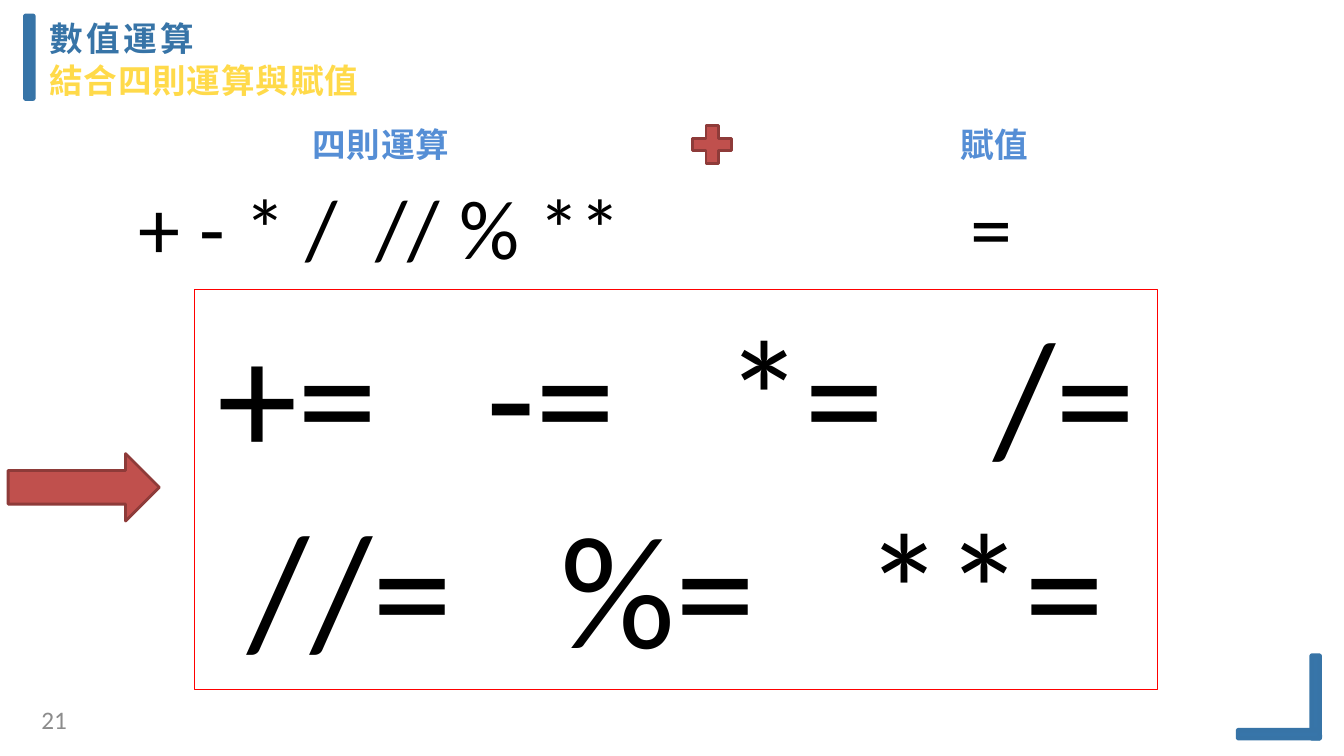
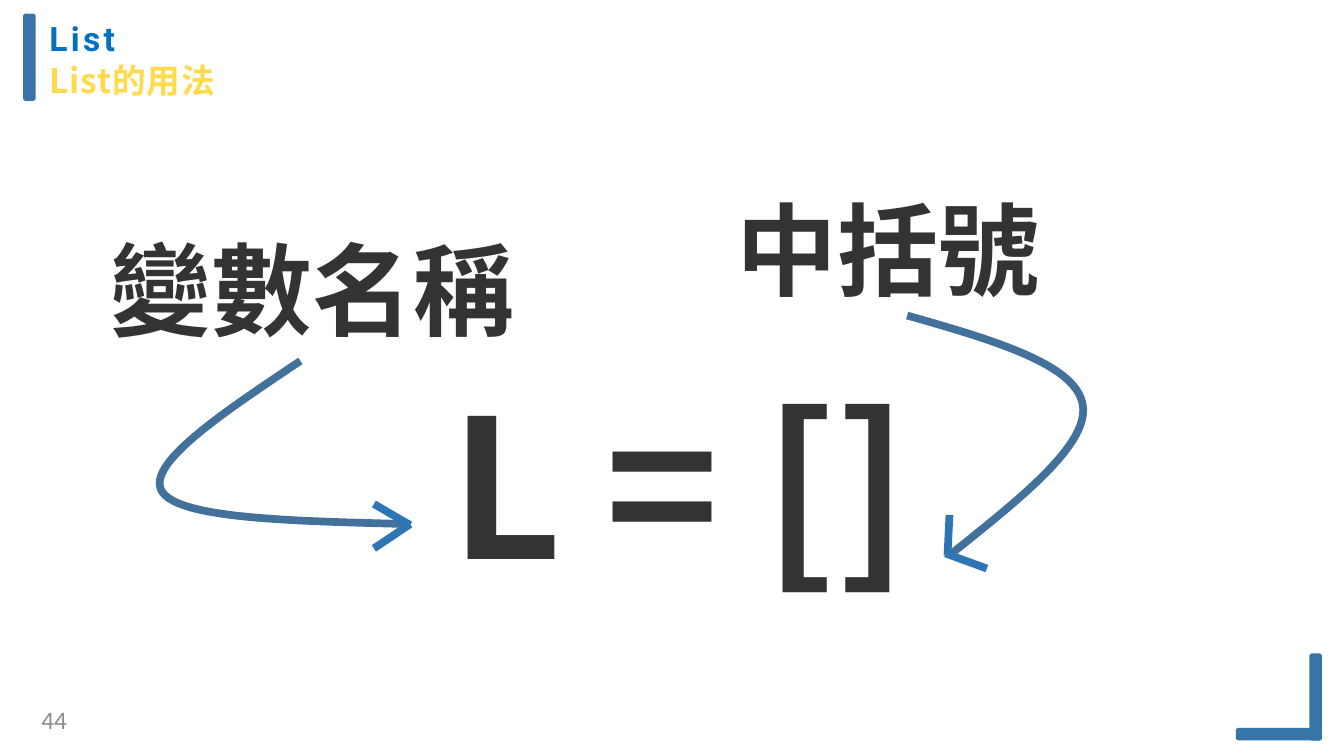
"""Build two Python lesson slides: combined assignment operators and list syntax."""
from lxml.etree import SubElement
from pptx import Presentation
from pptx.dml.color import RGBColor
from pptx.enum.shapes import MSO_CONNECTOR, MSO_SHAPE as Shape
from pptx.enum.text import PP_ALIGN as Align
from pptx.oxml.ns import qn
from pptx.util import Pt

BAR_FILL = RGBColor(0x37, 0x75, 0xA9)
BAR_LINE = RGBColor(0x37, 0x74, 0xA7)
LIST_BLUE = RGBColor(0x00, 0x70, 0xC0)
YELLOW = RGBColor(0xFF, 0xDA, 0x4A)
LABEL_BLUE = RGBColor(0x55, 0x8E, 0xD5)
GRAY = RGBColor(0x8C, 0x8C, 0x8C)
DARK = RGBColor(0x33, 0x33, 0x33)
BLACK = RGBColor(0x00, 0x00, 0x00)
FRAME_RED = RGBColor(0xFF, 0x00, 0x00)
RED = RGBColor(0xC0, 0x50, 0x4D)
RED_LINE = RGBColor(0x8E, 0x3B, 0x39)
CURVE_BLUE = RGBColor(0x42, 0x71, 0x9B)
HEAD_BLUE = RGBColor(0x2E, 0x75, 0xB5)
SANS, SC, TC = "Calibri", "Noto Sans CJK SC", "Noto Sans CJK TC"


def add_box(page, left, top, width, height, inset=(7.2, 3.6)):
    """Add a wrapping text box with equal insets on opposite sides."""
    box = page.shapes.add_textbox(Pt(left), Pt(top), Pt(width), Pt(height))
    frame = box.text_frame
    frame.word_wrap = True
    frame.margin_left = frame.margin_right = Pt(inset[0])
    frame.margin_top = frame.margin_bottom = Pt(inset[1])
    return box


def write(para, text, font, size, color, bold=False, spacing=0, align=Align.LEFT, stops=()):
    """Write one styled run, with optional tab stops, into a paragraph."""
    para.alignment = align
    if stops:
        tabs = SubElement(para._p.get_or_add_pPr(), qn("a:tabLst"))
        for stop in stops:
            SubElement(tabs, qn("a:tab"), pos=str(Pt(stop)), algn="l")
    span = para.add_run()
    span.text = text
    span.font.name, span.font.size, span.font.bold = font, Pt(size), bold
    span.font.color.rgb = color
    properties = span._r.get_or_add_rPr()
    SubElement(properties, qn("a:ea"), typeface=font)
    if spacing:
        properties.set("spc", str(round(spacing * 100)))


deck = Presentation()
deck.slide_width, deck.slide_height = Pt(960), Pt(540)

headings = [
    ("數值運算", SC, BAR_LINE, "結合四則運算與賦值", "21"),
    ("List", "Roboto", LIST_BLUE, "List的用法", "44"),
]
bars = [(18, 11.2, 6, 59.4), (936.8, 468.2, 6, 59.4), (884.2, 521.4, 58.6, 6)]
for title, title_font, title_color, subtitle, number in headings:
    page = deck.slides.add_slide(deck.slide_layouts[6])
    frame = add_box(page, 35.2, 13, 325, 60, (0, 0)).text_frame
    write(frame.paragraphs[0], title, title_font, 24, title_color, True, 2.4)
    para = frame.add_paragraph()
    para.space_before = Pt(1)
    write(para, subtitle, SC, 24, YELLOW, True, 0.6)
    for left, top, width, height in bars:
        bar = page.shapes.add_shape(Shape.ROUNDED_RECTANGLE, Pt(left), Pt(top), Pt(width), Pt(height))
        bar.adjustments[0] = 0.1
        bar.shadow.inherit = False
        bar.fill.solid()
        bar.fill.fore_color.rgb = BAR_FILL
        bar.line.color.rgb = BAR_LINE
        bar.line.width = Pt(3)
    number_box = add_box(page, 6, 503.3, 41.8, 21.6, (0, 0))
    write(number_box.text_frame.paragraphs[0], number, SANS, 18, GRAY, align=Align.RIGHT)

operators_page, list_page = deck.slides

for text, left in [("四則運算", 212), ("賦值", 650)]:
    label = add_box(operators_page, left, 85, 120, 36)
    write(label.text_frame.paragraphs[0], text, SC, 24, LABEL_BLUE, True, 0.6, Align.CENTER)

arithmetic = add_box(operators_page, 54, 121.7, 435.6, 80)
write(arithmetic.text_frame.paragraphs[0], "\t+ - * /\t// % **", SANS, 60, BLACK, stops=(38, 207))
assignment = add_box(operators_page, 642.2, 121.7, 131.8, 80)
write(assignment.text_frame.paragraphs[0], "=", SANS, 60, BLACK, align=Align.CENTER)

combined = add_box(operators_page, 139, 206.6, 687.6, 285.8)
combined.line.color.rgb = FRAME_RED
combined.line.width = Pt(0.75)
frame = combined.text_frame
write(frame.paragraphs[0], "\t+=\t-=\t*=\t/=", SANS, 115, BLACK, stops=(9.3, 201.4, 371.4, 563.6))
write(frame.add_paragraph(), "\t//=\t%=\t**=", SANS, 115, BLACK, stops=(31, 254.3, 471.4))

for kind, left, top, width, height in [
    (Shape.MATH_PLUS, 489.6, 85, 38.2, 36.7),
    (Shape.RIGHT_ARROW, 5.8, 324, 108, 48.2),
]:
    symbol = operators_page.shapes.add_shape(kind, Pt(left), Pt(top), Pt(width), Pt(height))
    symbol.shadow.inherit = False
    symbol.fill.solid()
    symbol.fill.fore_color.rgb = RED
    symbol.line.color.rgb = RED_LINE
    symbol.line.width = Pt(2)

for text, left, top, width, height, size, align in [
    ("L = []", 179.3, 257.8, 612.7, 174.2, 138, Align.CENTER),
    ("變數名稱", 72, 159.1, 314, 94.3, 72, Align.LEFT),
    ("中括號", 519.1, 130.3, 314, 94.3, 72, Align.LEFT),
]:
    words = add_box(list_page, left, top, width, height)
    write(words.text_frame.paragraphs[0], text, TC, size, DARK, True, align=align)

name_curve = [
    ((214.6, 257.8), (159.8, 294.5), (103, 331.9), (115.9, 351.4)),
    ((115.9, 351.4), (128.9, 370.8), (211, 372.2), (293, 374.4)),
]
bracket_curve = [
    ((648, 225.4), (708.5, 242.6), (768.2, 259.9), (773.3, 288.7)),
    ((773.3, 288.7), (779, 316.8), (728.6, 356.4), (679, 396)),
]
name_head = [(267.1, 360, 293, 375.1), (293, 374.4, 267.1, 391.7)]
bracket_head = [(678.2, 367.9, 676.8, 396.7), (675.4, 395.3, 704.9, 406.1)]
STEPS = 24
for curve, head in [(name_curve, name_head), (bracket_curve, bracket_head)]:
    points = []
    for controls in curve:
        for step in range(1, STEPS + 1):
            t = step / STEPS
            weights = ((1 - t) ** 3, 3 * t * (1 - t) ** 2, 3 * t * t * (1 - t), t ** 3)
            points.append([
                Pt(sum(weight * control[axis] for weight, control in zip(weights, controls)))
                for axis in (0, 1)
            ])
    start_x, start_y = curve[0][0]
    builder = list_page.shapes.build_freeform(Pt(start_x), Pt(start_y))
    builder.add_line_segments(points, close=False)
    arc = builder.convert_to_shape()
    arc.shadow.inherit = False
    arc.fill.background()
    arc.line.color.rgb = CURVE_BLUE
    arc.line.width = Pt(5.5)
    for ends in head:
        stroke = list_page.shapes.add_connector(MSO_CONNECTOR.STRAIGHT, *[Pt(end) for end in ends])
        stroke.line.color.rgb = HEAD_BLUE
        stroke.line.width = Pt(5.5)
        SubElement(stroke._element.spPr, qn("a:effectLst"))

deck.save("out.pptx")
